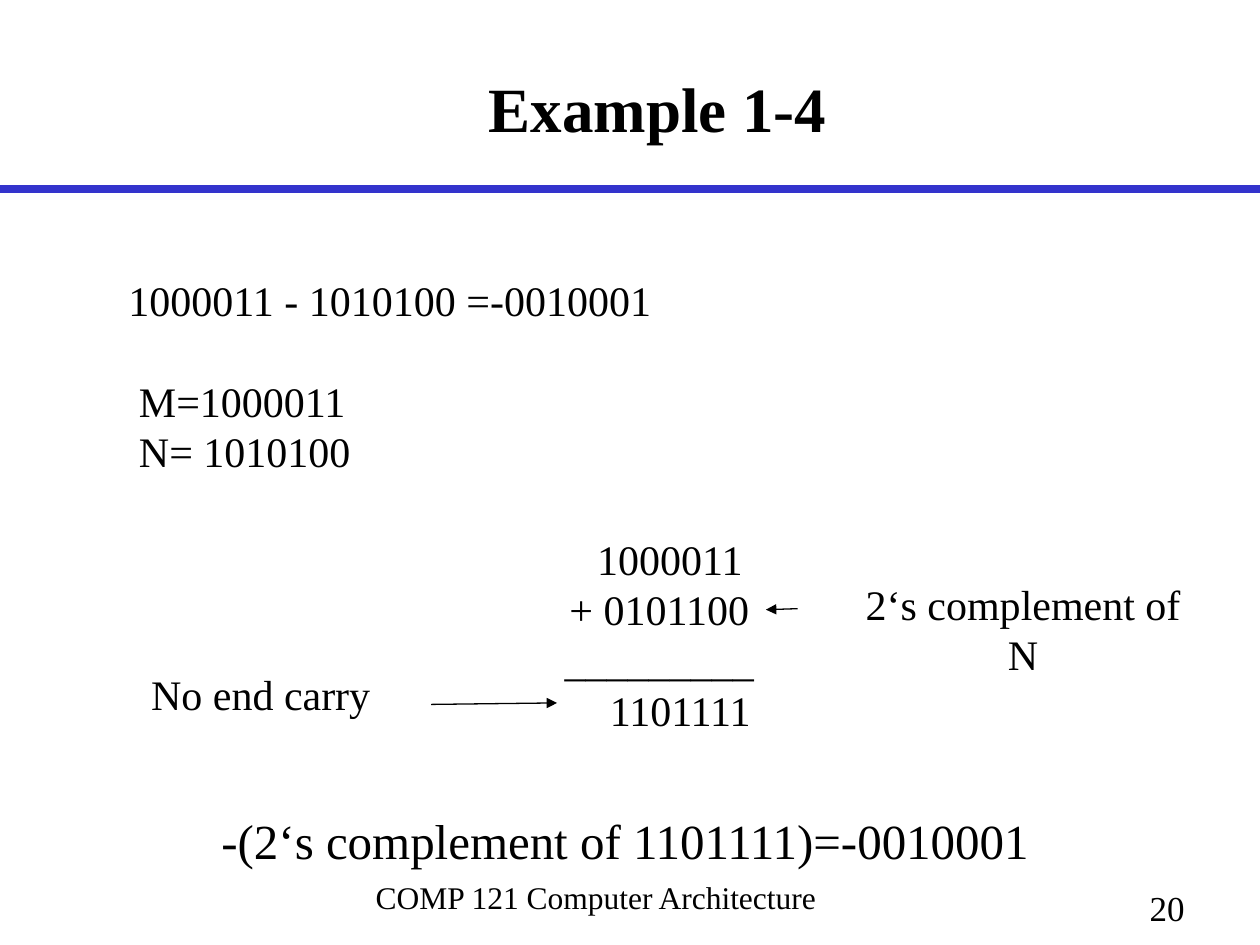
"""Build the two's complement subtraction example slide."""
from lxml import etree
from pptx import Presentation
from pptx.dml.color import RGBColor
from pptx.enum.shapes import MSO_CONNECTOR
from pptx.enum.text import MSO_ANCHOR, PP_ALIGN
from pptx.oxml.ns import qn
from pptx.util import Cm, Pt

LEFT, CENTER, RIGHT = PP_ALIGN.LEFT, PP_ALIGN.CENTER, PP_ALIGN.RIGHT
TOP, MIDDLE, BOTTOM = MSO_ANCHOR.TOP, MSO_ANCHOR.MIDDLE, MSO_ANCHOR.BOTTOM
STRAIGHT = MSO_CONNECTOR.STRAIGHT

THEME = {
    "font": "Times New Roman", "text": RGBColor(0, 0, 0),
    "rule": RGBColor(0x33, 0x33, 0xCC),
    "title": 36, "result": 28, "body": 24, "number": 20, "footer": 18,
    "spacing": 1.2, "space": 0.25,
}

TITLE = {"box": (7.19, 1.27, 12.14, 1.78), "lines": [("Example 1-4", 0, 0)],
         "size": "title", "align": CENTER, "anchor": TOP}

TEXTS = [
    {"box": (2.34, 5.41, 20.52, 4.32), "size": "body", "align": LEFT, "anchor": TOP,
     "lines": [("1000011 - 1010100 =-0010001", 0, 0), ("M=1000011", 1, 1),
               ("N= 1010100", 1, 0)]},
    {"box": (11.13, 10.62, 4.32, 4.32), "size": "body", "align": CENTER, "anchor": TOP,
     "lines": [("1000011", 2, 0), ("+ 0101100", 0, 0), ("_________", 0, 0),
               ("1101111", 4, 0)]},
    {"box": (2.79, 13.34, 4.93, 1.27), "size": "body", "align": CENTER, "anchor": TOP,
     "lines": [("No end carry", 0, 0)]},
    {"box": (16.79, 11.53, 7.67, 1.27), "size": "body", "align": CENTER, "anchor": TOP,
     "lines": [("2‘s complement of N", 0, 0)]},
    {"box": (4.14, 16.21, 16.92, 1.45), "size": "result", "align": CENTER, "anchor": MIDDLE,
     "lines": [("-(2‘s complement of 1101111)=-0010001", 0, 0)]},
    {"box": (18.85, 17.58, 5.28, 1.27), "size": "number", "align": RIGHT, "anchor": BOTTOM,
     "lines": [("20", 0, 0)]},
    {"box": (5.49, 17.32, 13.21, 1.27), "size": "footer", "align": CENTER, "anchor": BOTTOM,
     "lines": [("COMP 121 Computer Architecture ", 0, 0)]},
]

RULE = (0, 3.81, 25.4, 3.81)
ARROWS = [(8.69, 14.2, 11.23, 14.17), (16.08, 12.27, 15.44, 12.29)]


def apply_format(target, values):
    for name, value in values.items():
        setattr(target, name, value)


def write_text(shape, item):
    left, top, width, height = map(Cm, item["box"])
    apply_format(shape, {"left": left, "top": top, "width": width, "height": height})
    frame = shape.text_frame
    apply_format(frame, {
        "word_wrap": True, "vertical_anchor": item["anchor"],
        "margin_left": Cm(0.25), "margin_right": Cm(0.25),
        "margin_top": Cm(0.13), "margin_bottom": Cm(0.13)})
    size = THEME[item["size"]]
    line_height = Pt(size * THEME["spacing"])
    for index, (text, indent, gap_lines) in enumerate(item["lines"]):
        paragraph = frame.paragraphs[0] if index == 0 else frame.add_paragraph()
        apply_format(paragraph, {
            "alignment": item["align"], "line_spacing": line_height,
            "space_before": Pt(gap_lines * size * THEME["spacing"])})
        margin = Pt(indent * size * THEME["space"])
        paragraph._p.get_or_add_pPr().set("marL", str(margin))
        run = paragraph.add_run()
        run.text = text
        apply_format(run.font, {"name": THEME["font"], "size": Pt(size),
                                "bold": item["size"] == "title"})
        run.font.color.rgb = THEME["text"]


def add_line(slide, ends, color, width, arrow=False):
    connector = slide.shapes.add_connector(STRAIGHT, *map(Cm, ends))
    connector.line.color.rgb = color
    connector.line.width = Pt(width)
    if arrow:
        outline = connector.line._get_or_add_ln()
        etree.SubElement(outline, qn("a:tailEnd"), type="triangle")
    etree.SubElement(connector._element.spPr, qn("a:effectLst"))


def main():
    presentation = Presentation()
    presentation.slide_width, presentation.slide_height = Cm(25.4), Cm(19.05)
    slide = presentation.slides.add_slide(presentation.slide_layouts[5])
    add_line(slide, RULE, THEME["rule"], 4.5)
    write_text(slide.shapes.title, TITLE)
    for item in TEXTS:
        write_text(slide.shapes.add_textbox(*map(Cm, item["box"])), item)
    for ends in ARROWS:
        add_line(slide, ends, THEME["text"], 0.75, arrow=True)
    presentation.save("out.pptx")


if __name__ == "__main__":
    main()
